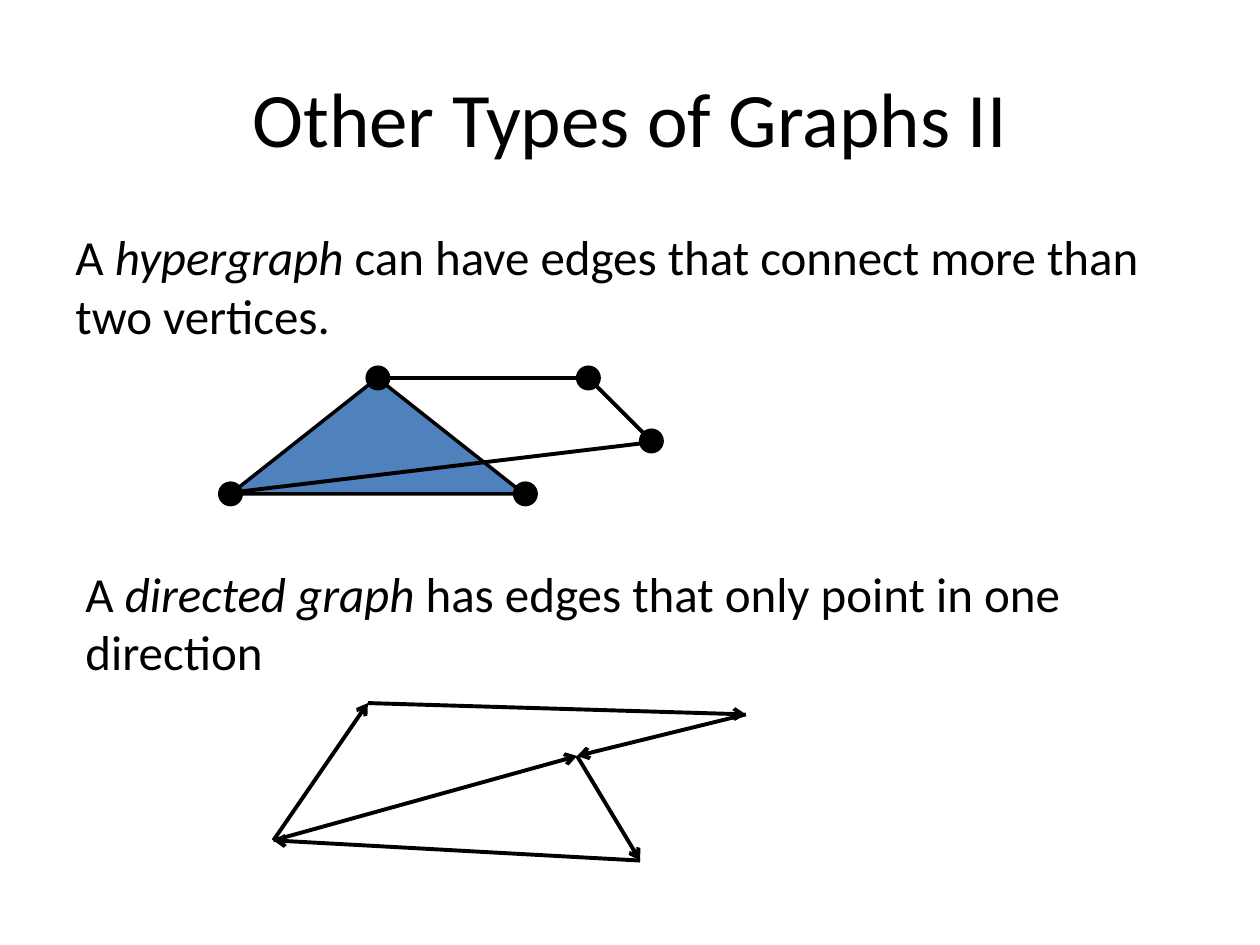
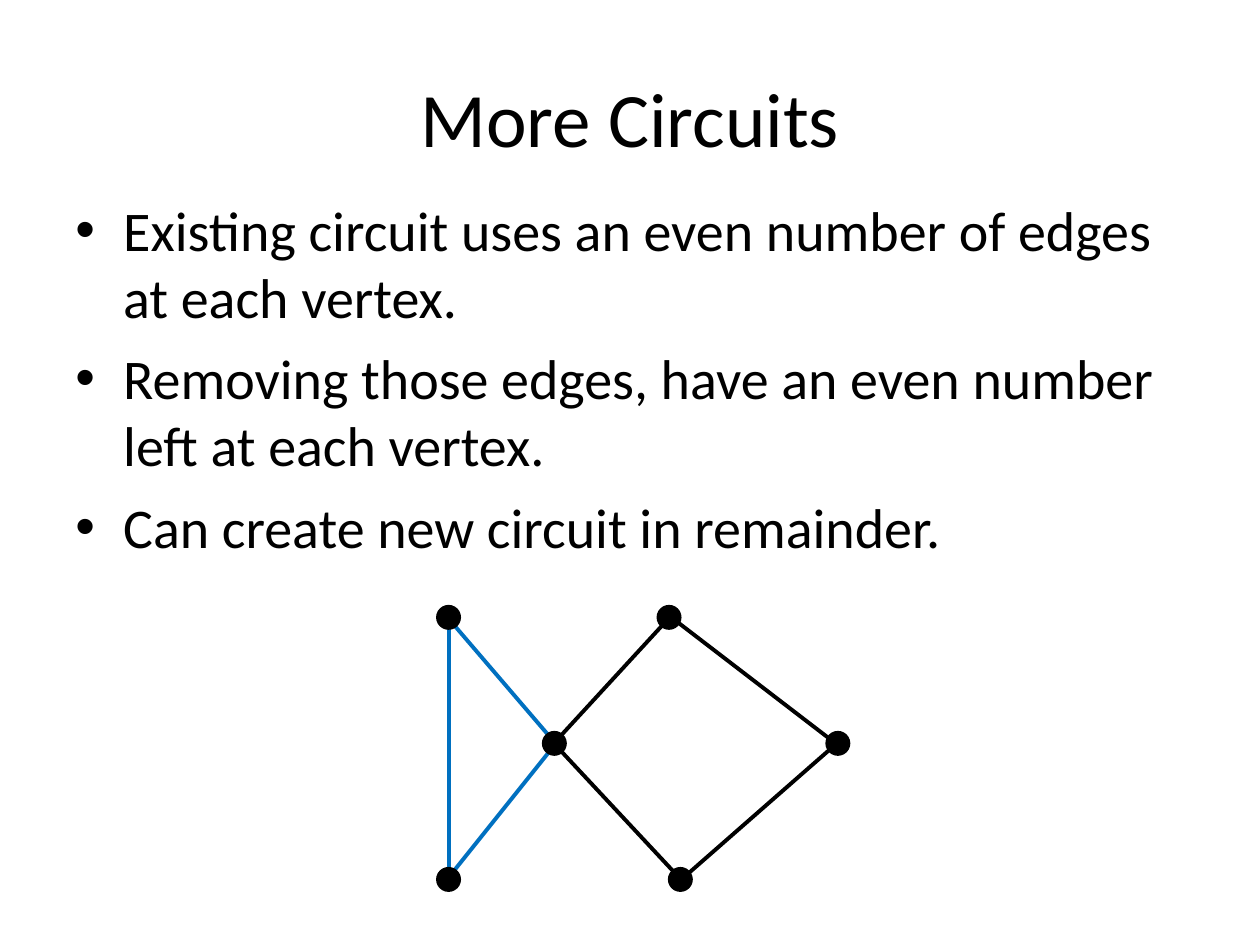
from lxml.etree import SubElement
from pptx import Presentation
from pptx.dml.color import RGBColor
from pptx.enum.shapes import MSO_CONNECTOR, MSO_SHAPE
from pptx.enum.text import MSO_ANCHOR, PP_ALIGN
from pptx.oxml.ns import qn
from pptx.util import Inches, Pt

BLACK, TRIANGLE_BLUE, CIRCUIT_BLUE = "000000", "4F81BD", "0070C0"
DOT = 0.17
OVERSHOOT = 0.06


def paint(target, color):
    if hasattr(target, "solid"):
        target.solid()
        target.fore_color.rgb = RGBColor.from_string(color)
    else:
        target.color.rgb = RGBColor.from_string(color)


def add_run(paragraph, text, size, italic=False):
    run = paragraph.add_run()
    run.text = text
    run.font.name = "Calibri"
    run.font.size = Pt(size)
    run.font.italic = italic
    paint(run.font, BLACK)


prs = Presentation()
prs.slide_width, prs.slide_height = Inches(10), Inches(7.5)

slides = []
for heading in ("Other Types of Graphs II", "More Circuits"):
    slide = prs.slides.add_slide(prs.slide_layouts[5])
    title = slide.shapes.title
    title.left, title.top = Inches(0.5), Inches(0.3)
    title.width, title.height = Inches(9), Inches(1.25)
    title.text_frame.vertical_anchor = MSO_ANCHOR.MIDDLE
    title_line = title.text_frame.paragraphs[0]
    title_line.alignment = PP_ALIGN.CENTER
    add_run(title_line, heading, 44)
    slides.append(slide)
graph_types, circuits = slides

hyperedge = graph_types.shapes.add_shape(
    MSO_SHAPE.ISOSCELES_TRIANGLE, Inches(1.83), Inches(3), Inches(2.33), Inches(0.92))
hyperedge.shadow.inherit = False
paint(hyperedge.fill, TRIANGLE_BLUE)
paint(hyperedge.line, BLACK)
hyperedge.line.width = Pt(2)

definitions = [
    (0.5, 1.75, 8.92, "hypergraph", " can have edges that connect more than two vertices."),
    (0.58, 4.42, 8.67, "directed graph", " has edges that only point in one direction"),
]
for left, top, width, term, meaning in definitions:
    definition = graph_types.shapes.add_textbox(
        Inches(left), Inches(top), Inches(width), Inches(1.04))
    definition.text_frame.word_wrap = True
    sentence = definition.text_frame.paragraphs[0]
    add_run(sentence, "A ", 28)
    add_run(sentence, term, 28, italic=True)
    add_run(sentence, meaning, 28)

findings = circuits.shapes.add_textbox(Inches(0.5), Inches(1.5), Inches(9), Inches(3))
findings.text_frame.word_wrap = True
for index, finding in enumerate([
    "Existing circuit uses an even number of edges at each vertex.",
    "Removing those edges, have an even number left at each vertex.",
    "Can create new circuit in remainder.",
]):
    frame = findings.text_frame
    paragraph = frame.add_paragraph() if index else frame.paragraphs[0]
    properties = paragraph._p.get_or_add_pPr()
    properties.set("marL", str(Inches(0.38)))
    properties.set("indent", str(-Inches(0.38)))
    SubElement(properties, qn("a:buFont")).set("typeface", "Arial")
    SubElement(properties, qn("a:buChar")).set("char", "•")
    paragraph.space_before = Pt(8 if index else 0)
    add_run(paragraph, finding, 32)

hypergraph_vertices = [(1.83, 3.92), (4.17, 3.92), (3, 3), (4.67, 3), (5.17, 3.5)]
hypergraph_edges = [
    ((2.92, 3), (4.75, 3)),
    ((4.61, 2.94), (5.23, 3.56)),
    ((1.75, 3.92), (5.25, 3.5)),
]

west, north, center, south, east = (2.17, 6.67), (2.92, 5.58), (4.58, 6), (5.08, 6.83), (5.92, 5.67)
directed_edges = [(west, center), (west, north), (center, south),
                  (south, west), (north, east), (east, center)]

top_left, bottom_left, crossing = (3.56, 4.9), (3.56, 6.98), (4.4, 5.9)
top_right, bottom_right, far_right = (5.31, 4.9), (5.4, 6.98), (6.65, 5.9)
circuit_vertices = [bottom_right, top_right, far_right, bottom_left, top_left, crossing]
circuit_edges = [
    (top_right, far_right, BLACK),
    (crossing, top_right, BLACK),
    (crossing, bottom_right, BLACK),
    (bottom_right, far_right, BLACK),
    (crossing, top_left, CIRCUIT_BLUE),
    (bottom_left, top_left, CIRCUIT_BLUE),
    (bottom_left, crossing, CIRCUIT_BLUE),
]

edges = [(graph_types, start, end, BLACK, False) for start, end in hypergraph_edges]
edges += [(graph_types, start, end, BLACK, True) for start, end in directed_edges]
for start, end, color in circuit_edges:
    reach = [OVERSHOOT * ((b > a) - (b < a)) for a, b in zip(start, end)]
    edges.append((circuits,
                  [a - r for a, r in zip(start, reach)],
                  [b + r for b, r in zip(end, reach)],
                  color, False))

for slide, start, end, color, directed in edges:
    edge = slide.shapes.add_connector(
        MSO_CONNECTOR.STRAIGHT, *[Inches(value) for value in (*start, *end)])
    paint(edge.line, color)
    edge.line.width = Pt(2.25)
    if directed:
        SubElement(edge.line._get_or_add_ln(), qn("a:tailEnd")).set("type", "arrow")
    SubElement(edge._element.spPr, qn("a:effectLst"))

for slide, vertices in ((graph_types, hypergraph_vertices), (circuits, circuit_vertices)):
    for x, y in vertices:
        vertex = slide.shapes.add_shape(
            MSO_SHAPE.OVAL, Inches(x - DOT / 2), Inches(y - DOT / 2), Inches(DOT), Inches(DOT))
        vertex.shadow.inherit = False
        paint(vertex.fill, BLACK)
        paint(vertex.line, BLACK)
        vertex.line.width = Pt(2)

prs.save("out.pptx")
